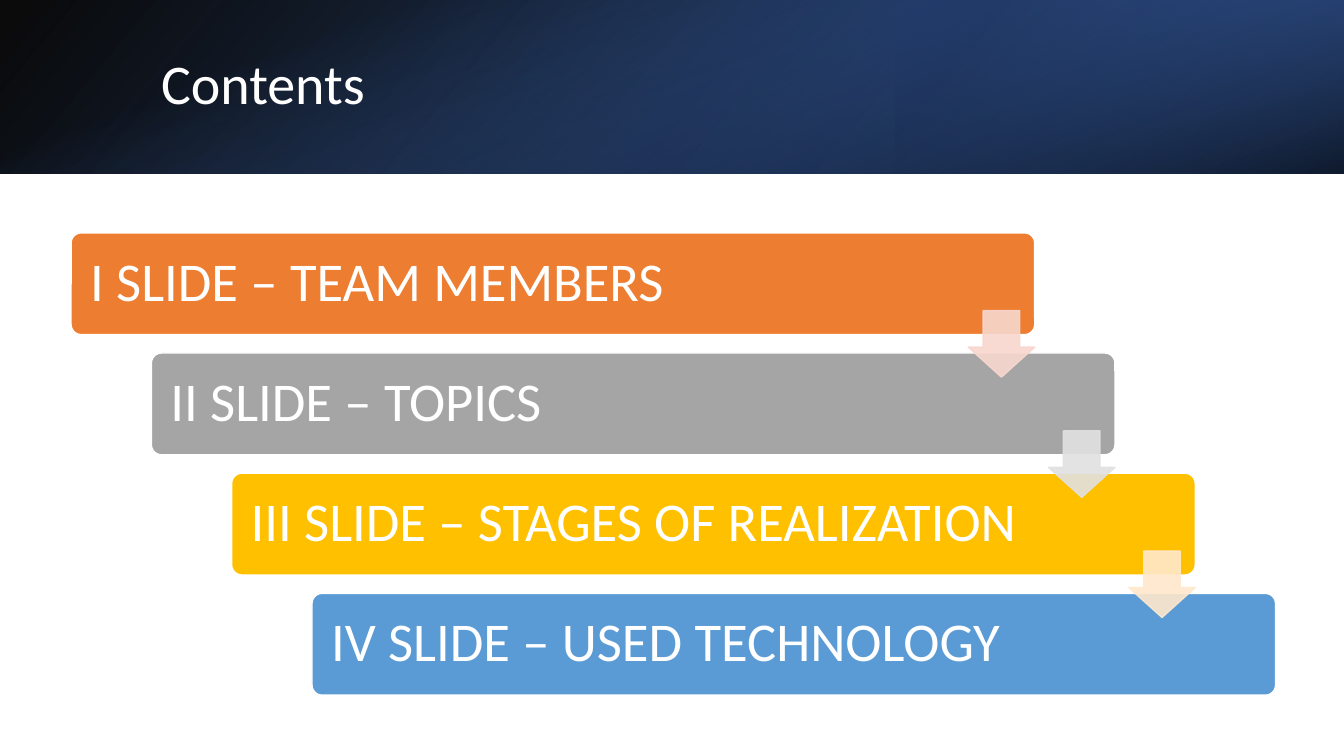
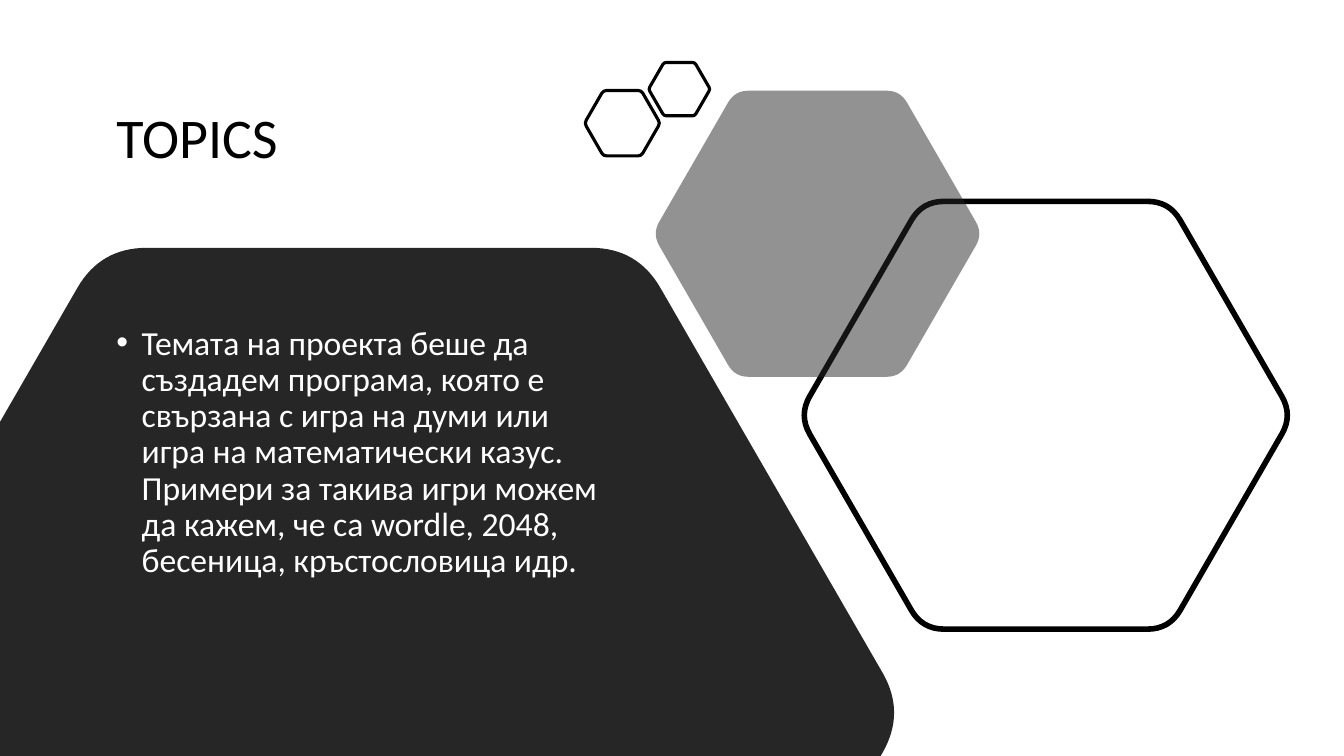
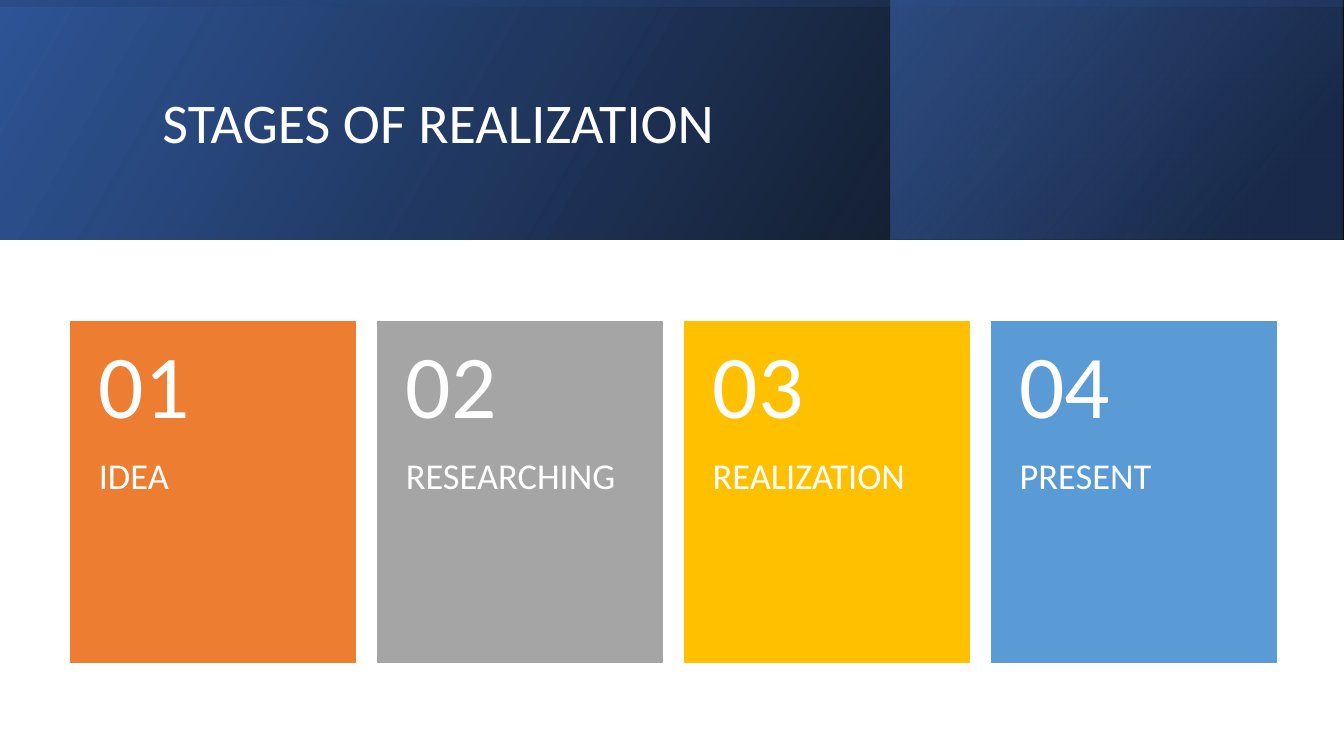
from math import cos, radians, sin

from lxml.etree import SubElement
from pptx import Presentation
from pptx.dml.color import RGBColor
from pptx.enum.shapes import MSO_SHAPE
from pptx.enum.text import MSO_ANCHOR, PP_ALIGN
from pptx.oxml.ns import qn
from pptx.util import Pt

WIDTH, HEIGHT = 960, 540
FONT = "Calibri"
COLORS = {
    "white": "FFFFFF", "black": "000000", "charcoal": "262626",
    "navy": "203864", "royal": "2F5597", "azure": "4472C4",
    "orange": "ED7D31", "gray": "A5A5A5", "gold": "FFC000", "blue": "5B9BD5",
    "pale orange": "F8D7CE", "pale gray": "E1E1E1", "pale gold": "FFE8CC",
}
ACCENTS = ["orange", "gray", "gold", "blue"]
ARROW_COLORS = ["pale orange", "pale gray", "pale gold"]

CONTENTS = [
    "I SLIDE – TEAM MEMBERS",
    "II SLIDE – TOPICS",
    "III SLIDE – STAGES OF REALIZATION",
    "IV SLIDE – USED TECHNOLOGY",
]
TOPIC = (
    "Темата на проекта беше да създадем програма, която е свързана с игра на думи "
    "или игра на математически казус. Примери за такива игри можем да кажем, че са "
    "wordle, 2048, бесеница, кръстословица идр."
)
STAGES = ["IDEA", "RESEARCHING", "REALIZATION", "PRESENT"]

BASE_STOPS = [(0, "black", 96), (100, "royal", 100)]
CONTENTS_BANDS = [
    dict(left=0, width=WIDTH, flip=True, angle=220, stops=BASE_STOPS),
    dict(left=640, width=320, rotation=180, flip=True, angle=40,
         stops=[(19, "navy", 68), (100, "azure", 79)]),
    dict(left=0, width=WIDTH, rotation=90, angle=20,
         stops=[(23, "azure", 0), (99, "black", 74)]),
]
STAGES_BANDS = [
    dict(left=0, width=WIDTH, flip=True, angle=30, stops=BASE_STOPS),
    dict(left=636.3, width=322.8, flip=True, angle=40,
         stops=[(19, "navy", 68), (100, "azure", 48)]),
    dict(left=0, width=WIDTH, rotation=270, flip=True, angle=10,
         stops=[(23, "royal", 16), (99, "black", 45)]),
]
HEXAGONS = [
    dict(center=(263.5, 509.1), radius=383.4, cut=33, fill="charcoal"),
    dict(center=(747, 296.6), radius=176.4, cut=15.6, line="black", weight=4),
    dict(center=(584, 167), radius=118, cut=9.8, fill="charcoal", alpha=50),
    dict(center=(444.5, 88), radius=27, cut=2.4, line="black", weight=2.25),
    dict(center=(485.3, 63.7), radius=22, cut=1.7, line="black", weight=2.25),
]


def rgb(name):
    return RGBColor.from_string(COLORS[name])


def set_alpha(shape, alphas):
    nodes = list(shape.element.spPr.iter(qn("a:srgbClr")))
    for node, alpha in zip(nodes, alphas):
        if alpha < 100:
            SubElement(node, qn("a:alpha"), val=str(alpha * 1000))


def paint(shape, fill=None, line=None, weight=1):
    shape.shadow.inherit = False
    if fill:
        shape.fill.solid()
        shape.fill.fore_color.rgb = rgb(fill)
    else:
        shape.fill.background()
    if line:
        shape.line.color.rgb = rgb(line)
        shape.line.width = Pt(weight)
    else:
        shape.line.fill.background()


def add_box(page, kind, frame, **style):
    shape = page.shapes.add_shape(kind, *map(Pt, frame))
    paint(shape, **style)
    return shape


def write(shape, text, size=40, color="white", insets=(7.2, 3.6, 7.2, 3.6),
          anchor=MSO_ANCHOR.MIDDLE, bullet=False):
    frame = shape.text_frame
    frame.word_wrap = True
    frame.vertical_anchor = anchor
    frame.margin_left, frame.margin_top, frame.margin_right, frame.margin_bottom = map(Pt, insets)
    para = frame.paragraphs[0]
    para.alignment = PP_ALIGN.LEFT
    para.line_spacing = 0.9
    span = para.add_run()
    span.text = text
    span.font.name = FONT
    span.font.size = Pt(size)
    span.font.color.rgb = rgb(color)
    if bullet:
        para.space_before = Pt(10)
        properties = para._p.get_or_add_pPr()
        properties.set("marL", str(Pt(18)))
        properties.set("indent", str(Pt(-18)))
        SubElement(properties, qn("a:buFont"), typeface="Arial")
        SubElement(properties, qn("a:buChar"), char="•")


def add_text(page, frame, text, **style):
    write(page.shapes.add_textbox(*map(Pt, frame)), text, **style)


def add_band(page, height, left, width, angle, stops, rotation=0, flip=False):
    across, down = (height, width) if rotation % 180 else (width, height)
    frame = (left + (width - across) / 2, (height - down) / 2, across, down)
    band = add_box(page, MSO_SHAPE.RECTANGLE, frame)
    band.rotation = rotation
    if flip:
        band.element.spPr.xfrm.set("flipH", "1")
    band.fill.gradient()
    band.fill.gradient_angle = angle
    for stop, (position, color, alpha) in zip(band.fill.gradient_stops, stops):
        stop.position = position / 100
        stop.color.rgb = rgb(color)
    set_alpha(band, [alpha for position, color, alpha in stops])


def add_header(page, height, bands, title, frame):
    for band in bands:
        add_band(page, height, **band)
    add_text(page, frame, title)


def between(start, end, share):
    return tuple(a + (b - a) * share for a, b in zip(start, end))


def hexagon_outline(center, radius, cut):
    corners = [(center[0] + radius * cos(radians(60 * i)),
                center[1] + radius * sin(radians(60 * i))) for i in range(6)]
    points, curve_starts = [], set()
    for i, corner in enumerate(corners):
        before, after = corners[i - 1], corners[(i + 1) % 6]
        share = cut / radius
        bend = [between(corner, before, share), between(corner, before, share / 3),
                between(corner, after, share / 3), between(corner, after, share)]
        points += bend
        curve_starts.add(bend[1])
    return points, curve_starts


def clip(points, axis, limit, sign):
    kept = []
    for start, end in zip(points[-1:] + points[:-1], points):
        before, after = sign * (start[axis] - limit), sign * (end[axis] - limit)
        if before * after < 0:
            kept.append(between(start, end, before / (before - after)))
        if after >= 0:
            kept.append(end)
    return kept


def bend_corners(shape, points, curve_starts):
    outline = next(shape.element.iter(qn("a:path")))
    lines = outline.findall(qn("a:lnTo"))
    for i, point in enumerate(points[1:]):
        if point in curve_starts:
            curve = SubElement(outline, qn("a:cubicBezTo"))
            lines[i].addprevious(curve)
            for line in lines[i:i + 3]:
                curve.append(line[0])
                outline.remove(line)


def add_hexagon(page, center, radius, cut, alpha=100, **style):
    points, curve_starts = hexagon_outline(center, radius, cut)
    points = clip(clip(points, 0, 0, 1), 1, HEIGHT, -1)
    start, *rest = [(Pt(x), Pt(y)) for x, y in points]
    builder = page.shapes.build_freeform(*start)
    builder.add_line_segments(rest, close=True)
    shape = builder.convert_to_shape()
    bend_corners(shape, points, curve_starts)
    paint(shape, **style)
    set_alpha(shape, [alpha])


def build_contents(page):
    add_header(page, 124, CONTENTS_BANDS, "Contents", (108, 27.4, 790.6, 69))
    step_x, step_y = 57.35, 85.85
    for i, (text, color) in enumerate(zip(CONTENTS, ACCENTS)):
        frame = (50.8 + i * step_x, 166.3 + i * step_y, 688.3, 72.7)
        bar = add_box(page, MSO_SHAPE.ROUNDED_RECTANGLE, frame, fill=color, line="white")
        bar.adjustments[0] = 0.1
        write(bar, text, size=39, insets=(11.5, 11.5, 11.5, 11.5))
    for i, color in enumerate(ARROW_COLORS):
        frame = (691.6 + i * step_x, 221.9 + i * step_y, 47.5, 47.5)
        arrow = add_box(page, MSO_SHAPE.DOWN_ARROW, frame, fill=color, line=color)
        arrow.adjustments[0], arrow.adjustments[1] = 0.55, 0.45
        set_alpha(arrow, [90, 90])


def build_topics(page):
    add_text(page, (76.1, 35.3, 337, 129.6), "TOPICS", color="black")
    for hexagon in HEXAGONS:
        add_hexagon(page, **hexagon)
    add_text(page, (76.1, 229.4, 373.7, 243.4), TOPIC, size=24,
             anchor=MSO_ANCHOR.TOP, bullet=True)


def build_stages(page):
    add_header(page, 171, STAGES_BANDS, "STAGES OF REALIZATION", (109, 27.4, 765.4, 123.8))
    top, width, height, number_height = 229.7, 203.2, 243.4, 97.2
    for i, (stage, color) in enumerate(zip(STAGES, ACCENTS)):
        left = 50.6 + i * 219.25
        add_box(page, MSO_SHAPE.RECTANGLE, (left, top, width, height), fill=color, line=color)
        add_text(page, (left, top + number_height, width, height - number_height), stage,
                 size=26, insets=(20, 0, 20, 26), anchor=MSO_ANCHOR.TOP)
        add_text(page, (left, top, width, number_height), f"{i + 1:02}",
                 size=64, insets=(20, 13, 20, 13))


def main():
    deck = Presentation()
    deck.slide_width, deck.slide_height = Pt(WIDTH), Pt(HEIGHT)
    for build in (build_contents, build_topics, build_stages):
        build(deck.slides.add_slide(deck.slide_layouts[6]))
    deck.save("out.pptx")


if __name__ == "__main__":
    main()
